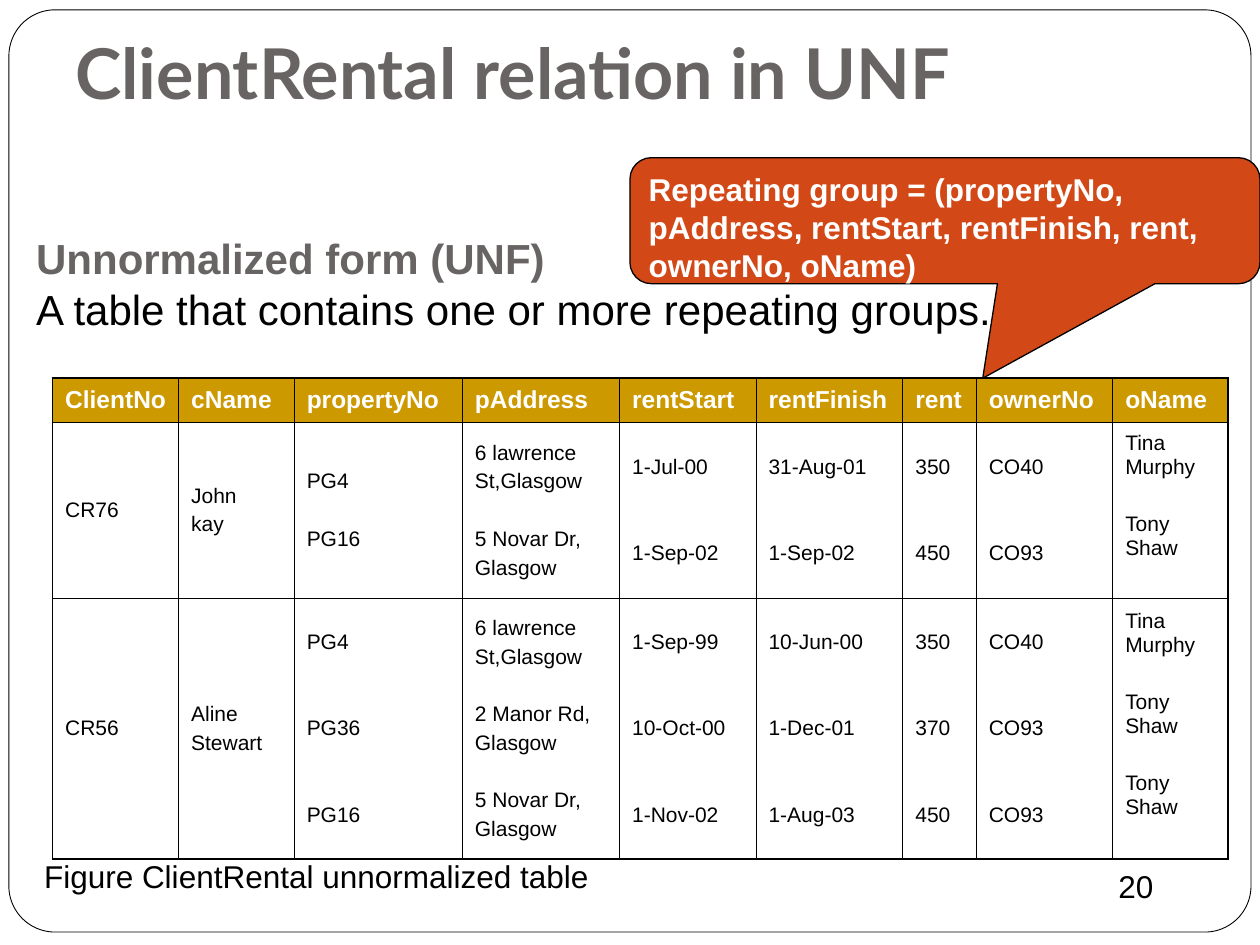
from dataclasses import dataclass

from lxml import etree
from pptx import Presentation
from pptx.dml.color import RGBColor
from pptx.enum.shapes import MSO_SHAPE
from pptx.enum.text import MSO_ANCHOR, PP_ALIGN
from pptx.oxml.ns import qn
from pptx.util import Cm, Pt

ROUNDED = MSO_SHAPE.ROUNDED_RECTANGLE
CALLOUT = MSO_SHAPE.ROUNDED_RECTANGULAR_CALLOUT
TOP, MIDDLE, BOTTOM = MSO_ANCHOR.TOP, MSO_ANCHOR.MIDDLE, MSO_ANCHOR.BOTTOM
LEFT, RIGHT = PP_ALIGN.LEFT, PP_ALIGN.RIGHT

COLORS = {
    "black": "000000",
    "white": "FFFFFF",
    "gray": "696464",
    "gold": "CC9900",
    "orange": "D34817",
}
INNER_LINE, OUTER_LINE = Pt(0.45), Pt(1.08)
LINE_GAP = 3
LINE_PITCH = 16.4


@dataclass
class Style:
    size: float
    color: str = "black"
    bold: bool = False
    font: str = "Arial"


@dataclass
class Label:
    box: tuple[float, float, float, float]
    lines: list[tuple[str, Style]]
    anchor: MSO_ANCHOR = TOP
    align: PP_ALIGN = LEFT
    wrap: bool = False


@dataclass
class Column:
    name: str
    width: float
    entries: tuple[list[str], list[str]]
    skipped: tuple[int, int] = (2, 2)  # lines left open between entries, per row
    trailing: int = 0  # lines left open below the last entry


HEADER = Style(14, "white", True)
BODY = Style(12)
ROW_HEIGHTS = (0.89, 3.38, 5.11)
COLUMNS = [
    Column("ClientNo", 2.54, (["CR76"], ["CR56"])),
    Column("cName", 2.33, (["John\nkay"], ["Aline\nStewart"])),
    Column("propertyNo", 3.39, (["PG4", "PG16"], ["PG4", "PG36", "PG16"]), (1, 2)),
    Column("pAddress", 3.17, (
        ["6 lawrence\nSt,Glasgow", "5 Novar Dr,\nGlasgow"],
        ["6 lawrence\nSt,Glasgow", "2 Manor Rd,\nGlasgow", "5 Novar Dr,\nGlasgow"],
    ), (1, 1)),
    Column("rentStart", 2.75, (["1-Jul-00", "1-Sep-02"],
                               ["1-Sep-99", "10-Oct-00", "1-Nov-02"])),
    Column("rentFinish", 2.96, (["31-Aug-01", "1-Sep-02"],
                                ["10-Jun-00", "1-Dec-01", "1-Aug-03"])),
    Column("rent", 1.48, (["350", "450"], ["350", "370", "450"])),
    Column("ownerNo", 2.75, (["CO40", "CO93"], ["CO40", "CO93", "CO93"])),
    Column("oName", 2.33, (["Tina Murphy", "Tony Shaw"],
                           ["Tina Murphy", "Tony Shaw", "Tony Shaw"]), (1, 1), 1),
]
LABELS = [
    Label((20.96, 17.35, 2.54, 1.02), [("20", Style(18))], align=RIGHT, wrap=True),
    Label((1.27, 0.43, 22.86, 2.11),
          [("ClientRental relation in UNF", Style(40, "gray", True, "Lato"))],
          anchor=BOTTOM, wrap=True),
    Label((0.48, 4.57, 19.79, 2.29), [
        ("Unnormalized form (UNF)", Style(24, "gray", True)),
        ("A table that contains one or more repeating groups.", Style(24)),
    ]),
    Label((0.64, 17.15, 11.48, 1.02),
          [("Figure ClientRental unnormalized table", Style(18))]),
]


def rgb(name: str) -> RGBColor:
    return RGBColor.from_string(COLORS[name])


def add_line(frame, text: str, style: Style, first: bool, space: float = 0) -> None:
    """Write one paragraph, reusing the empty one a frame starts with."""
    paragraph = frame.paragraphs[0] if first else frame.add_paragraph()
    paragraph.alignment = LEFT
    if not first:
        paragraph.space_before = Pt(space)
    run = paragraph.add_run()
    run.text = text
    run.font.name = style.font
    run.font.size = Pt(style.size)
    run.font.bold = style.bold
    run.font.color.rgb = rgb(style.color)


def add_label(slide, label: Label) -> None:
    frame = slide.shapes.add_textbox(*map(Cm, label.box)).text_frame
    frame.word_wrap = label.wrap
    frame.vertical_anchor = label.anchor
    if label.anchor == BOTTOM:
        frame.margin_bottom = Cm(0.25)
    for index, (text, style) in enumerate(label.lines):
        add_line(frame, text, style, index == 0)
        frame.paragraphs[index].alignment = label.align


def add_panel(slide, kind, box, adjustments, fill: str, line_width: float):
    shape = slide.shapes.add_shape(kind, *map(Cm, box))
    for index, value in enumerate(adjustments):
        shape.adjustments[index] = value
    shape.shadow.inherit = False
    shape.fill.solid()
    shape.fill.fore_color.rgb = rgb(fill)
    shape.line.color.rgb = rgb("black")
    shape.line.width = Pt(line_width)
    return shape


def set_borders(cell, row: int, column: int) -> None:
    """Rule the cell thinly inside the table and thicker on its outer edge."""
    outer = {
        "L": column == 0,
        "R": column == len(COLUMNS) - 1,
        "T": row == 0,
        "B": row == len(ROW_HEIGHTS) - 1,
    }
    properties = cell._tc.get_or_add_tcPr()
    for index, (side, is_outer) in enumerate(outer.items()):
        line = etree.Element(qn(f"a:ln{side}"), w=str(OUTER_LINE if is_outer else INNER_LINE))
        fill = etree.SubElement(line, qn("a:solidFill"))
        etree.SubElement(fill, qn("a:srgbClr"), val=COLORS["black"])
        properties.insert(index, line)


def fill_cell(cell, column: Column, row: int) -> None:
    cell.vertical_anchor = MIDDLE
    if row == 0:
        cell.margin_right = Cm(0.1)
        cell.fill.solid()
        cell.fill.fore_color.rgb = rgb("gold")
        add_line(cell.text_frame, column.name, HEADER, True)
        return
    cell.fill.background()
    cell.margin_bottom = Cm(0.13) + Pt(LINE_PITCH * column.trailing)
    entry_gap = LINE_GAP + LINE_PITCH * column.skipped[row - 1]
    for entry_index, entry in enumerate(column.entries[row - 1]):
        for line_index, text in enumerate(entry.split("\n")):
            add_line(cell.text_frame, text, BODY, entry_index + line_index == 0,
                     LINE_GAP if line_index else entry_gap)


def add_rental_table(slide) -> None:
    width = sum(column.width for column in COLUMNS)
    table = slide.shapes.add_table(
        len(ROW_HEIGHTS), len(COLUMNS),
        Cm(1.06), Cm(7.62), Cm(width), Cm(sum(ROW_HEIGHTS))).table
    table.first_row = table.horz_banding = False
    for row, height in enumerate(ROW_HEIGHTS):
        table.rows[row].height = Cm(height)
        for index, column in enumerate(COLUMNS):
            table.columns[index].width = Cm(column.width)
            fill_cell(table.cell(row, index), column, row)
            set_borders(table.cell(row, index), row, index)


def add_callout(slide) -> None:
    callout = add_panel(slide, CALLOUT, (12.7, 3.18, 12.7, 2.54),
                        (0.06, 1.25, 0.17), "orange", 0.75)
    frame = callout.text_frame
    frame.word_wrap = True
    frame.vertical_anchor = TOP
    add_line(frame, "Repeating group = (propertyNo, pAddress, rentStart, "
             "rentFinish, rent, ownerNo, oName)", Style(18, "white", True), True)


def main() -> None:
    presentation = Presentation()
    presentation.slide_width, presentation.slide_height = Cm(25.4), Cm(19.05)
    slide = presentation.slides.add_slide(presentation.slide_layouts[6])
    add_panel(slide, ROUNDED, (0.18, 0.2, 25.04, 18.59), (0.05,), "white", 0.5)
    for label in LABELS:
        add_label(slide, label)
    add_rental_table(slide)
    add_callout(slide)
    presentation.save("out.pptx")


if __name__ == "__main__":
    main()
